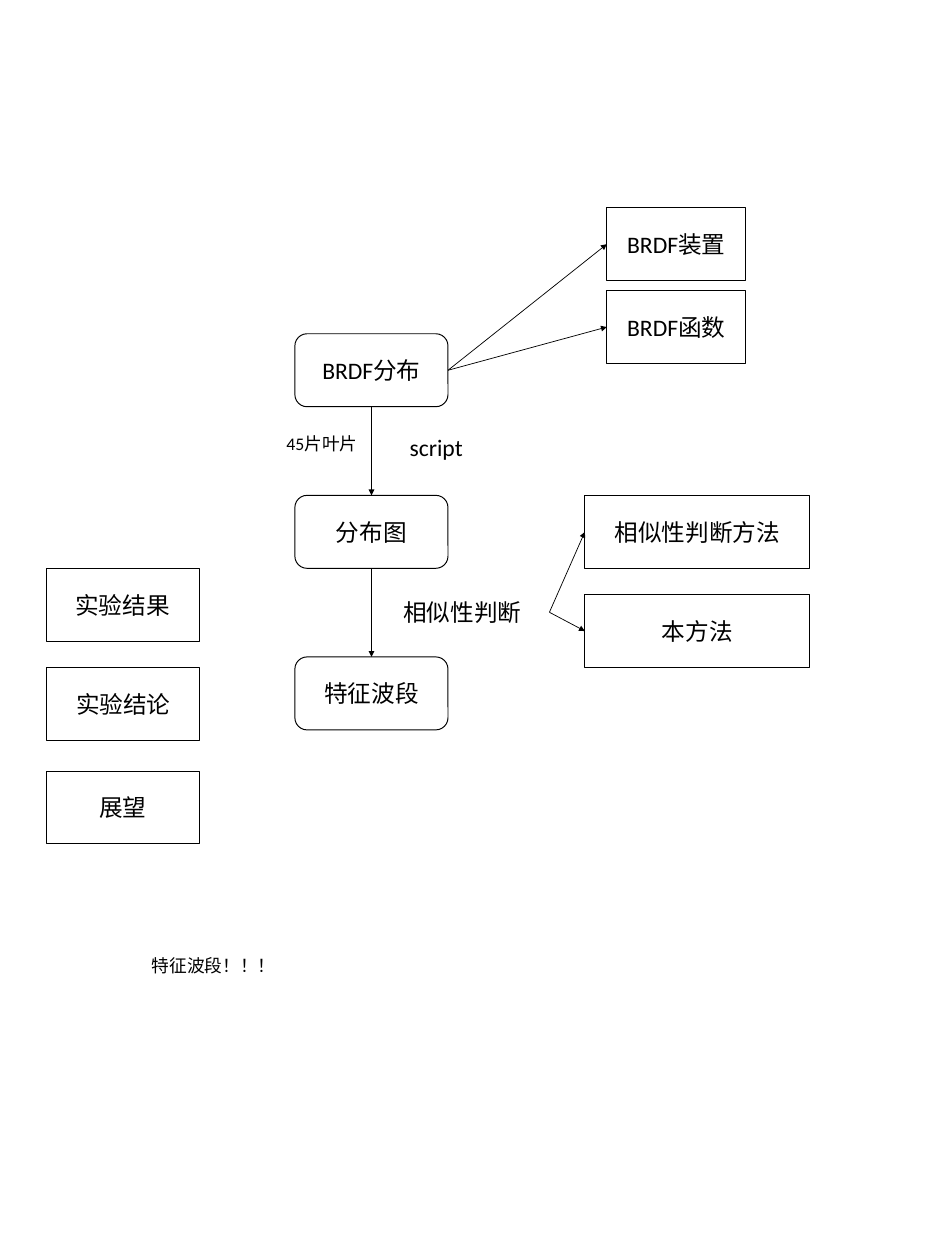
from lxml import etree
from pptx import Presentation
from pptx import util as u
from pptx.dml.color import RGBColor
from pptx.enum import shapes, text
from pptx.oxml import ns

BLACK = RGBColor(0, 0, 0)
FONT = "Calibri"
RECT = shapes.MSO_SHAPE.RECTANGLE
ROUND = shapes.MSO_SHAPE.ROUNDED_RECTANGLE
TOP, LEFT, BOTTOM, RIGHT = range(4)
BOX_H = 1.03

deck = Presentation()
deck.slide_width = u.Inches(13.33)
deck.slide_height = u.Inches(17.78)
slide = deck.slides.add_slide(deck.slide_layouts[6])


def write(shape, words, size):
    """Put one black run of text into a shape and return its paragraph."""
    para = shape.text_frame.paragraphs[0]
    run = para.add_run()
    run.text = words
    run.font.size = u.Pt(size)
    run.font.name = FONT
    run.font.color.rgb = BLACK
    return para


def link(start, site, end, goal):
    """Join two shapes at their connection sites with a thin arrow."""
    line = slide.shapes.add_connector(shapes.MSO_CONNECTOR.STRAIGHT, 0, 0, 0, 0)
    line.begin_connect(start, site)
    line.end_connect(end, goal)
    line.line.color.rgb = BLACK
    line.line.width = u.Pt(0.75)
    tail = etree.SubElement(line.line._get_or_add_ln(), ns.qn("a:tailEnd"))
    tail.set("type", "triangle")
    etree.SubElement(line._element.spPr, ns.qn("a:effectLst"))


# Boxes: words, outline, left, top, width
boxes = {}
for words, kind, left, top, width in [
    ("BRDF分布", ROUND, 4.16, 4.71, 2.16),
    ("分布图", ROUND, 4.16, 6.99, 2.16),
    ("特征波段", ROUND, 4.16, 9.27, 2.16),
    ("BRDF装置", RECT, 8.56, 2.93, 1.96),
    ("BRDF函数", RECT, 8.56, 4.1, 1.96),
    ("相似性判断方法", RECT, 8.25, 6.99, 3.17),
    ("本方法", RECT, 8.25, 8.39, 3.17),
    ("实验结果", RECT, 0.65, 8.02, 2.16),
    ("实验结论", RECT, 0.66, 9.42, 2.16),
    ("展望", RECT, 0.65, 10.88, 2.17),
]:
    box = slide.shapes.add_shape(
        kind, u.Inches(left), u.Inches(top), u.Inches(width), u.Inches(BOX_H))
    box.shadow.inherit = False
    box.fill.background()
    box.line.color.rgb = BLACK
    box.line.width = u.Pt(1)
    frame = box.text_frame
    frame.vertical_anchor = text.MSO_ANCHOR.MIDDLE
    frame.margin_left = frame.margin_right = u.Inches(0.13)
    frame.margin_top = frame.margin_bottom = u.Inches(0.07)
    write(box, words, 24).alignment = text.PP_ALIGN.CENTER
    boxes[words] = box

# Free labels: words, size, wrap, left, top, width, height
labels = {}
for words, size, wrap, left, top, width, height in [
    ("script", 24, False, 5.68, 6.06, 1.16, 0.5),
    ("相似性判断", 24, True, 5.59, 8.39, 2.16, 0.5),
    ("45片叶片", 18, True, 3.94, 6.06, 1.22, 0.4),
    ("特征波段！！！", 18, True, 2.04, 13.43, 8.23, 0.71),
]:
    label = slide.shapes.add_textbox(
        u.Inches(left), u.Inches(top), u.Inches(width), u.Inches(height))
    label.text_frame.word_wrap = wrap
    label.text_frame.auto_size = text.MSO_AUTO_SIZE.SHAPE_TO_FIT_TEXT
    write(label, words, size)
    labels[words] = label

# Main flow downwards, then the branches to the right
link(boxes["BRDF分布"], BOTTOM, boxes["分布图"], TOP)
link(boxes["分布图"], BOTTOM, boxes["特征波段"], TOP)
for start, ends in [
    (boxes["BRDF分布"], ("BRDF装置", "BRDF函数")),
    (labels["相似性判断"], ("相似性判断方法", "本方法")),
]:
    for end in ends:
        link(start, RIGHT, boxes[end], LEFT)

deck.save("out.pptx")
